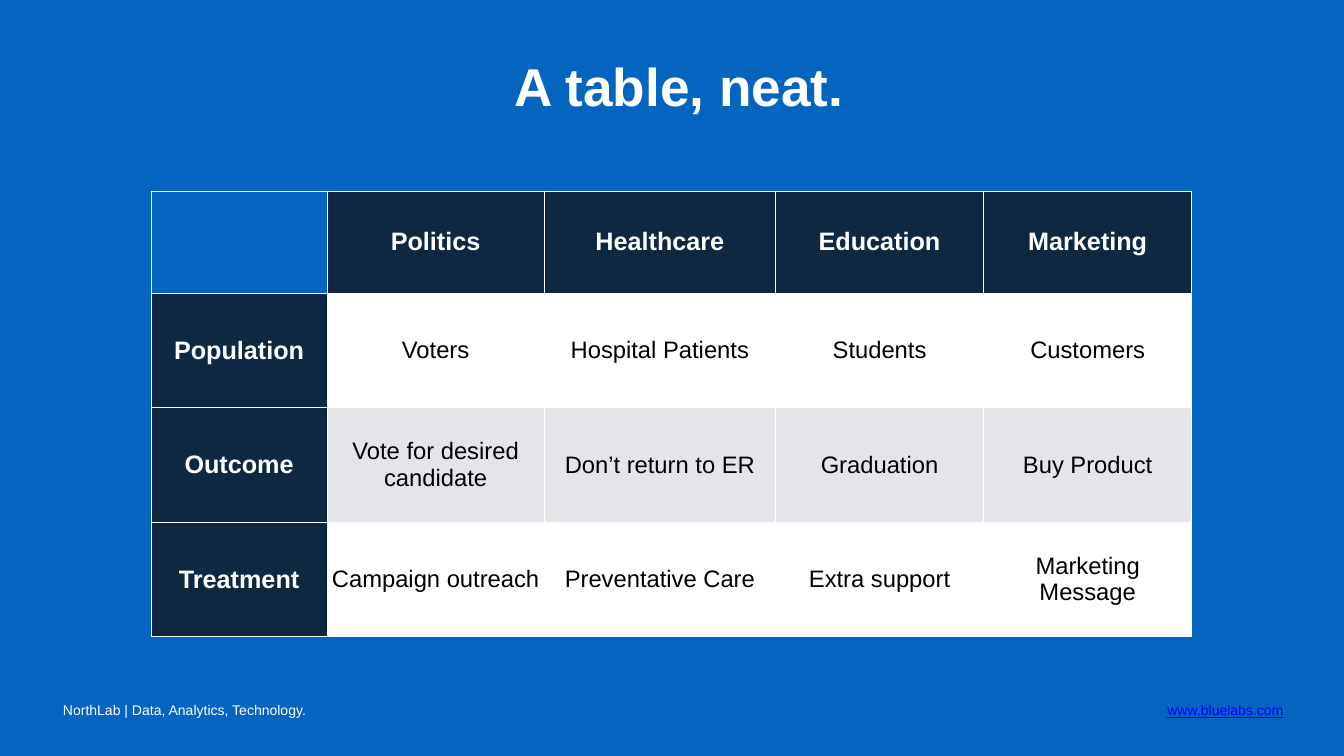
from dataclasses import dataclass

from lxml.etree import SubElement
from pptx import Presentation
from pptx.dml.color import RGBColor
from pptx.enum.text import MSO_ANCHOR, MSO_AUTO_SIZE, PP_ALIGN
from pptx.oxml.ns import qn
from pptx.util import Pt

SCALE = 9144


def px(n):
    return n * SCALE


@dataclass(frozen=True)
class Theme:
    font: str = "Arial"
    blue: str = "0365C0"
    navy: str = "0E2841"
    white: str = "FFFFFF"
    gray: str = "E3E5E8"
    black: str = "000000"
    link: str = "0000FF"
    title: int = 76
    head: int = 36
    body: int = 34
    foot: int = 20
    rule: int = 1


class Deck:
    def __init__(self, theme, width, height):
        self.theme = theme
        self.file = Presentation()
        self.file.slide_width = px(width)
        self.file.slide_height = px(height)
        self.slide = self.file.slides.add_slide(self.file.slide_layouts[5])
        self.paint(self.slide.background.fill, theme.blue)

    def paint(self, fill, color):
        fill.solid()
        fill.fore_color.rgb = RGBColor.from_string(color)

    def inset(self, item, gap):
        item.margin_left = item.margin_right = px(gap)
        item.margin_top = item.margin_bottom = px(gap)

    def text(self, frame, words, size, color, align, bold=False, under=False):
        para = frame.paragraphs[0]
        para.alignment = align
        run = para.add_run()
        run.text = words
        font = run.font
        font.name = self.theme.font
        font.size = Pt(size)
        font.bold = bold
        font.underline = under
        font.color.rgb = RGBColor.from_string(color)
        return para

    def title(self, words, left, top, width, height):
        shape = self.slide.shapes.title
        shape.left, shape.top = px(left), px(top)
        shape.width, shape.height = px(width), px(height)
        frame = shape.text_frame
        frame.auto_size = MSO_AUTO_SIZE.NONE
        frame.vertical_anchor = MSO_ANCHOR.MIDDLE
        self.inset(frame, 8)
        self.text(frame, words, self.theme.title, self.theme.white,
                  PP_ALIGN.CENTER, bold=True)

    def footer(self, words, left, color, align, under=False):
        box = self.slide.shapes.add_textbox(px(left), px(1389), px(540), px(52))
        frame = box.text_frame
        frame.word_wrap = True
        self.inset(frame, 7)
        para = self.text(frame, words, self.theme.foot, color, align,
                         under=under)
        para.line_spacing = 0.9

    def border(self, cell):
        props = cell._tc.get_or_add_tcPr()
        for side in ("lnL", "lnR", "lnT", "lnB"):
            line = SubElement(props, qn(f"a:{side}"),
                              w=str(Pt(self.theme.rule)))
            fill = SubElement(line, qn("a:solidFill"))
            SubElement(fill, qn("a:srgbClr"), val=self.theme.white)

    def cell(self, cell, words, row, col):
        theme = self.theme
        head = row == 0 or col == 0
        self.border(cell)
        self.inset(cell, 5)
        cell.vertical_anchor = MSO_ANCHOR.MIDDLE
        if not words:
            cell.fill.background()
            return
        band = theme.white if row % 2 else theme.gray
        self.paint(cell.fill, theme.navy if head else band)
        self.text(cell.text_frame, words,
                  theme.head if head else theme.body,
                  theme.white if head else theme.black,
                  PP_ALIGN.CENTER, bold=head)

    def table(self, data, left, top, widths, heights):
        grid = self.slide.shapes.add_table(
            len(heights), len(widths), px(left), px(top),
            px(sum(widths)), px(sum(heights))).table
        grid.first_row = grid.horz_banding = False
        for col, width in zip(grid.columns, widths):
            col.width = px(width)
        for row, height in zip(grid.rows, heights):
            row.height = px(height)
        for r, line in enumerate(data):
            for c, words in enumerate(line):
                self.cell(grid.cell(r, c), words, r, c)


def main():
    theme = Theme()
    deck = Deck(theme, 2667, 1500)
    deck.footer("NorthLab | Data, Analytics, Technology.", 118, theme.white,
                PP_ALIGN.LEFT)
    deck.footer("www.bluelabs.com", 2014, theme.link, PP_ALIGN.RIGHT,
                under=True)
    deck.title("A table, neat.", 132, 90, 2431, 160)
    fields = [
        ("", "Politics", "Healthcare", "Education", "Marketing"),
        ("Population", "Voters", "Hospital Patients", "Students", "Customers"),
        ("Outcome", "Vote for desired candidate", "Don’t return to ER",
         "Graduation", "Buy Product"),
        ("Treatment", "Campaign outreach", "Preventative Care",
         "Extra support", "Marketing Message"),
    ]
    deck.table(fields, 300, 379, [349, 431, 459, 413, 413],
               [203] + [227] * 3)
    deck.file.save("out.pptx")


if __name__ == "__main__":
    main()
